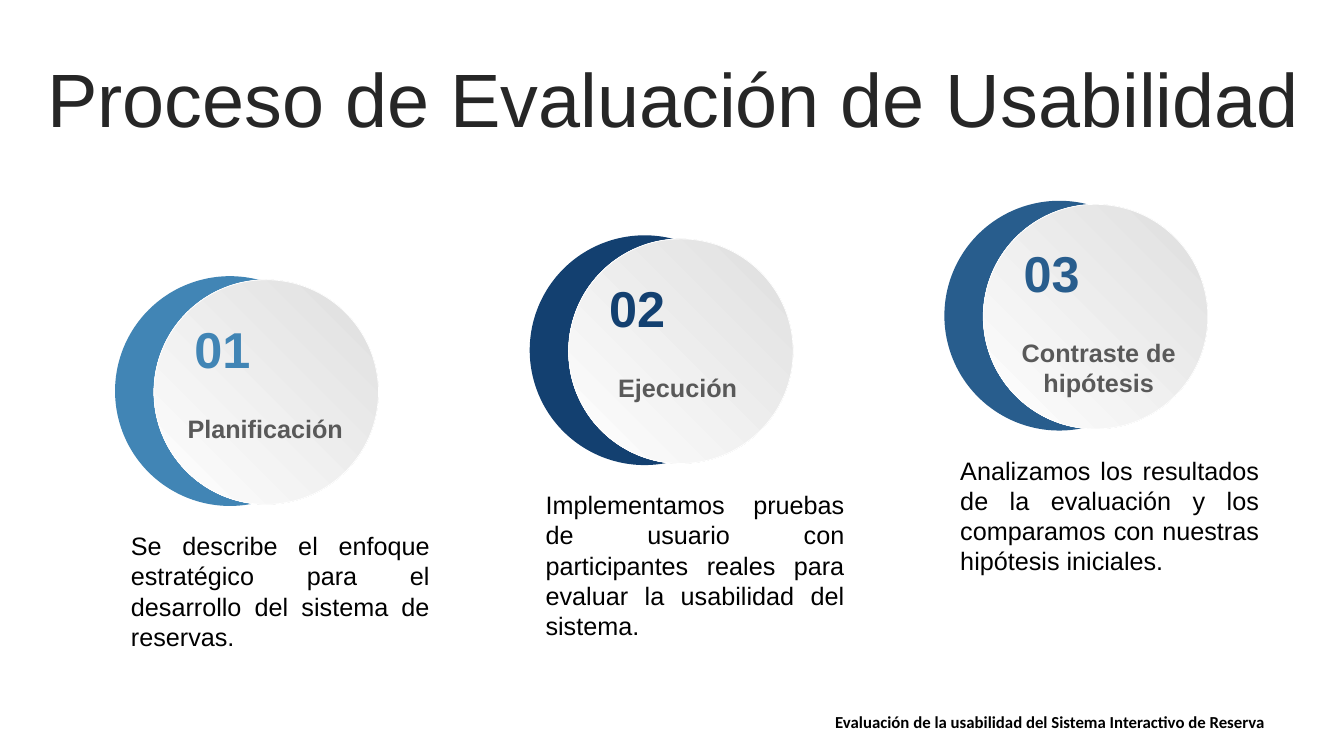
from dataclasses import dataclass

from pptx import Presentation
from pptx.dml.color import RGBColor
from pptx.enum.shapes import MSO_SHAPE
from pptx.enum.text import MSO_ANCHOR, PP_ALIGN
from pptx.util import Cm, Pt

CENTER, JUSTIFY = PP_ALIGN.CENTER, PP_ALIGN.JUSTIFY
TOP, MIDDLE = MSO_ANCHOR.TOP, MSO_ANCHOR.MIDDLE
OVAL = MSO_SHAPE.OVAL


@dataclass(frozen=True)
class Theme:
    font: str = "Arial"
    footer_font: str = "Calibri"
    title_size: int = 54
    number_size: int = 36
    text_size: int = 18
    footer_size: int = 12
    title_color: str = "262626"
    label_color: str = "595959"
    text_color: str = "000000"
    disc_dark: str = "DEDEDE"
    disc_light: str = "FFFFFF"


@dataclass(frozen=True)
class Stage:
    label: str
    body: str
    color: str
    top: float
    label_left: float
    label_size: tuple
    body_height: float


THEME = Theme()
FIRST_LEFT, STAGE_STEP = 2.9, 10.45

STAGES = [
    Stage("Planificación",
          "Se describe el enfoque estratégico para el desarrollo del sistema de reservas.",
          "4185B5", 6.96, 1.37, (4.83, 1.02), 3.33),
    Stage("Ejecución",
          "Implementamos pruebas de usuario con participantes reales "
          "para evaluar la usabilidad del sistema.",
          "134070", 5.93, 1.52, (4.42, 1.02), 4.11),
    Stage("Contraste de hipótesis",
          "Analizamos los resultados de la evaluación y los comparamos "
          "con nuestras hipótesis iniciales.",
          "285D8D", 5.06, 1.68, (4.42, 1.8), 3.33),
]


def rgb(value):
    return RGBColor.from_string(value)


def add_text(page, text, left, top, width, height, size, color,
             align=CENTER, bold=False, font=THEME.font, anchor=TOP):
    box = page.shapes.add_textbox(Cm(left), Cm(top), Cm(width), Cm(height))
    frame = box.text_frame
    frame.word_wrap = True
    frame.vertical_anchor = anchor
    frame.text = text
    para = frame.paragraphs[0]
    para.alignment = align
    span = para.runs[0]
    span.font.name = font
    span.font.size = Pt(size)
    span.font.bold = bold
    span.font.color.rgb = rgb(color)
    return para


def add_disc(page, left, top, diameter):
    disc = page.shapes.add_shape(OVAL, Cm(left), Cm(top), Cm(diameter), Cm(diameter))
    disc.shadow.inherit = False
    return disc


def add_crescent(page, left, top, color):
    # Coloured disc behind
    back = add_disc(page, left, top, 5.79)
    back.fill.solid()
    back.fill.fore_color.rgb = rgb(color)
    back.line.fill.background()

    # Shaded disc in front, dark at the upper right
    front = add_disc(page, left + 0.98, top + 0.09, 5.66)
    front.fill.gradient()
    front.fill.gradient_angle = 225
    for stop, shade in zip(front.fill.gradient_stops, (THEME.disc_dark, THEME.disc_light)):
        stop.color.rgb = rgb(shade)
    front.line.color.rgb = rgb(THEME.disc_light)
    front.line.width = Pt(0.5)


def add_stage(page, index, stage):
    left, top = FIRST_LEFT + index * STAGE_STEP, stage.top
    add_crescent(page, left, top, stage.color)
    add_text(page, stage.label, left + stage.label_left, top + 3.32, *stage.label_size,
             THEME.text_size, THEME.label_color, bold=True)
    add_text(page, f"{index + 1:02}", left + 1.42, top + 0.92, 2.57, 1.8,
             THEME.number_size, stage.color, bold=True)
    add_text(page, stage.body, left + 0.15, top + 6.28, 8.03, stage.body_height,
             THEME.text_size, THEME.text_color, align=JUSTIFY)


def main():
    deck = Presentation()
    deck.slide_width, deck.slide_height = Cm(33.87), Cm(19.05)
    page = deck.slides.add_slide(deck.slide_layouts[6])

    # Title
    title = add_text(page, "Proceso de Evaluación de Usabilidad", 0.89, 1.6, 32.16, 2.01,
                     THEME.title_size, THEME.title_color, anchor=MIDDLE)
    title.line_spacing = 0.9

    # Rising stages
    for index, stage in enumerate(STAGES):
        add_stage(page, index, stage)

    # Footer
    add_text(page, "Evaluación de la usabilidad del Sistema Interactivo de Reserva",
             20.8, 17.81, 13.06, 0.76, THEME.footer_size, THEME.text_color,
             align=JUSTIFY, bold=True, font=THEME.footer_font)

    deck.save("out.pptx")


if __name__ == "__main__":
    main()
